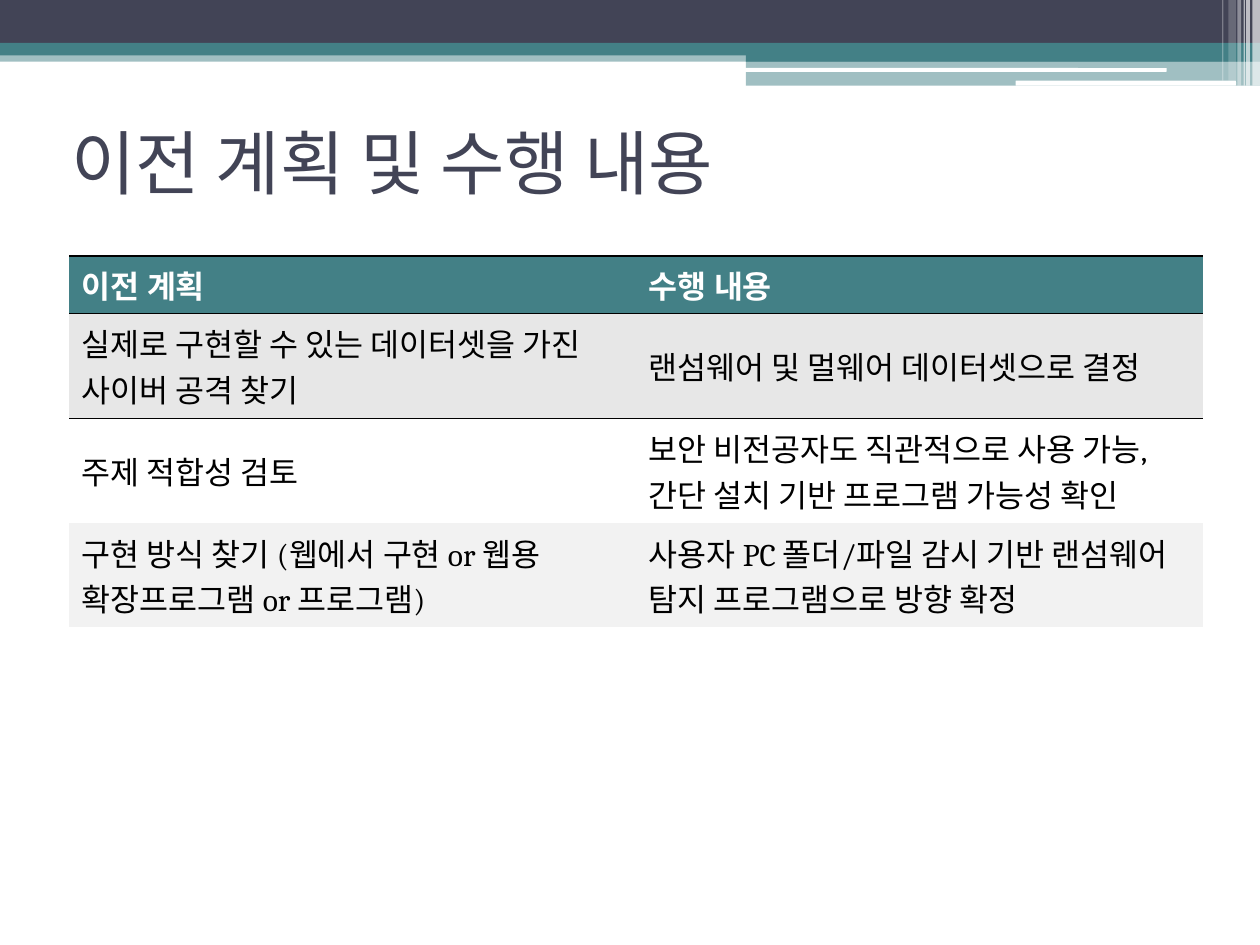
from lxml import etree
from pptx import Presentation
from pptx.dml.color import RGBColor
from pptx.enum.shapes import MSO_SHAPE
from pptx.enum.text import MSO_ANCHOR
from pptx.oxml.ns import qn
from pptx.util import Inches, Pt

RECTANGLE, ROUNDED = MSO_SHAPE.RECTANGLE, MSO_SHAPE.ROUNDED_RECTANGLE
MIDDLE, TOP = MSO_ANCHOR.MIDDLE, MSO_ANCHOR.TOP
WIDTH, HEIGHT = 10, 7.5
NAVY, TEAL, WHITE, BLACK = "424456", "438086", "FFFFFF", "000000"
NO_STYLE = "{2D5ABB26-0587-4C30-8999-92F81FD0307C}"

TITLE = "이전 계획 및 수행 내용"
ROWS = [
    ("이전 계획", "수행 내용"),
    ("실제로 구현할 수 있는 데이터셋을 가진 사이버 공격 찾기",
     "랜섬웨어 및 멀웨어 데이터셋으로 결정"),
    ("주제 적합성 검토",
     "보안 비전공자도 직관적으로 사용 가능, 간단 설치 기반 프로그램 가능성 확인"),
    ("구현 방식 찾기 (웹에서 구현 or 웹용 확장프로그램 or 프로그램)",
     "사용자 PC 폴더/파일 감시 기반 랜섬웨어 탐지 프로그램으로 방향 확정"),
]
ROW_FILLS = [TEAL, "E7E7E7", WHITE, "F2F2F2"]
ROW_HEIGHTS = [0.46, 0.83, 0.83, 0.83]
TABLE_LEFT, TABLE_TOP, COLUMN_WIDTH = 0.55, 2.03, 4.5

STEP_LEFT = 5.92
BANDS = [
    (RECTANGLE, 0, 0.4, WIDTH, 0.09, TEAL, 50),
    (RECTANGLE, 0, 0, WIDTH, 0.34, NAVY, 100),
    (RECTANGLE, 0, 0.34, WIDTH, 0.1, TEAL, 100),
    (RECTANGLE, STEP_LEFT, 0.39, WIDTH - STEP_LEFT, 0.1, TEAL, 100),
    (RECTANGLE, STEP_LEFT, 0.48, WIDTH - STEP_LEFT, 0.2, TEAL, 50),
    (ROUNDED, 5.91, 0.54, 3.35, 0.03, WHITE, 100),
    (ROUNDED, 8.06, 0.64, 1.75, 0.04, WHITE, 100),
]
STRIPES = [
    (9.94, 0.06, 0.68, 65), (9.89, 0.03, 0.68, 65), (9.87, 0.01, 0.68, 60),
    (9.82, 0.03, 0.68, 40), (9.75, 0.06, 0.64, 20), (9.7, 0.01, 0.64, 30),
]


def color(value):
    return RGBColor.from_string(value)


def add_block(slide, kind, left, top, width, height, fill, opacity):
    shape = slide.shapes.add_shape(
        kind, Inches(left), Inches(top), Inches(width), Inches(height))
    shape.shadow.inherit = False
    shape.line.fill.background()
    shape.fill.solid()
    shape.fill.fore_color.rgb = color(fill)
    if opacity < 100:
        tint = shape.fill._xPr.find(".//" + qn("a:srgbClr"))
        etree.SubElement(tint, qn("a:alpha"), val=str(opacity * 1000))


def write(frame, text, ink, **formats):
    frame.word_wrap = True
    paragraph = frame.paragraphs[0]
    run = paragraph.add_run()
    run.text = text
    run.font.color.rgb = color(ink)
    for name, value in formats.items():
        setattr(run.font, name, value)


def add_border(cell, side):
    line = etree.SubElement(cell._tc.get_or_add_tcPr(), qn("a:" + side),
                            w=str(Pt(0.96)))
    fill = etree.SubElement(line, qn("a:solidFill"))
    etree.SubElement(fill, qn("a:srgbClr"), val=BLACK)


def add_plan_table(slide):
    columns = len(ROWS[0])
    table = slide.shapes.add_table(
        len(ROWS), columns, Inches(TABLE_LEFT), Inches(TABLE_TOP),
        Inches(COLUMN_WIDTH * columns), Inches(sum(ROW_HEIGHTS))).table
    table._tbl.tblPr.find(qn("a:tableStyleId")).text = NO_STYLE
    table.horz_banding = False
    for column in table.columns:
        column.width = Inches(COLUMN_WIDTH)
    for index, texts in enumerate(ROWS):
        header = index == 0
        borders = {0: ("lnT", "lnB"), 1: ("lnT",)}.get(index, ())
        table.rows[index].height = Inches(ROW_HEIGHTS[index])
        for position, text in enumerate(texts):
            cell = table.cell(index, position)
            for side in borders:
                add_border(cell, side)
            cell.fill.solid()
            cell.fill.fore_color.rgb = color(ROW_FILLS[index])
            cell.vertical_anchor = TOP if header else MIDDLE
            write(cell.text_frame, text, WHITE if header else BLACK,
                  size=Pt(18), name="Cambria", bold=header)


def main():
    presentation = Presentation()
    presentation.slide_width = Inches(WIDTH)
    presentation.slide_height = Inches(HEIGHT)
    slide = presentation.slides.add_slide(presentation.slide_layouts[6])
    for band in BANDS:
        add_block(slide, *band)
    for left, width, height, opacity in STRIPES:
        add_block(slide, RECTANGLE, left, 0, width, height, WHITE, opacity)
    title = slide.shapes.add_textbox(
        Inches(0.47), Inches(0.7), Inches(9), Inches(1.17)).text_frame
    title.vertical_anchor = MIDDLE
    write(title, TITLE, NAVY, size=Pt(40), name="Cabin")
    add_plan_table(slide)
    presentation.save("out.pptx")


if __name__ == "__main__":
    main()
